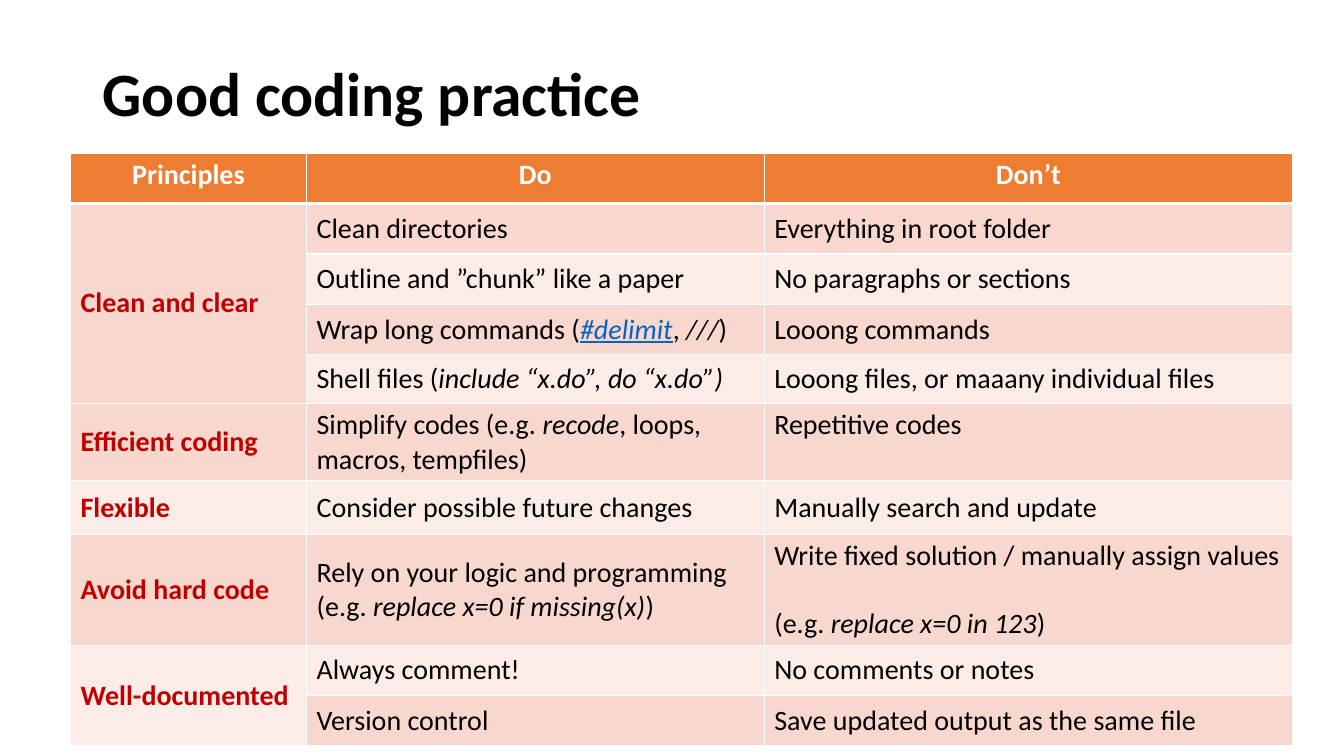
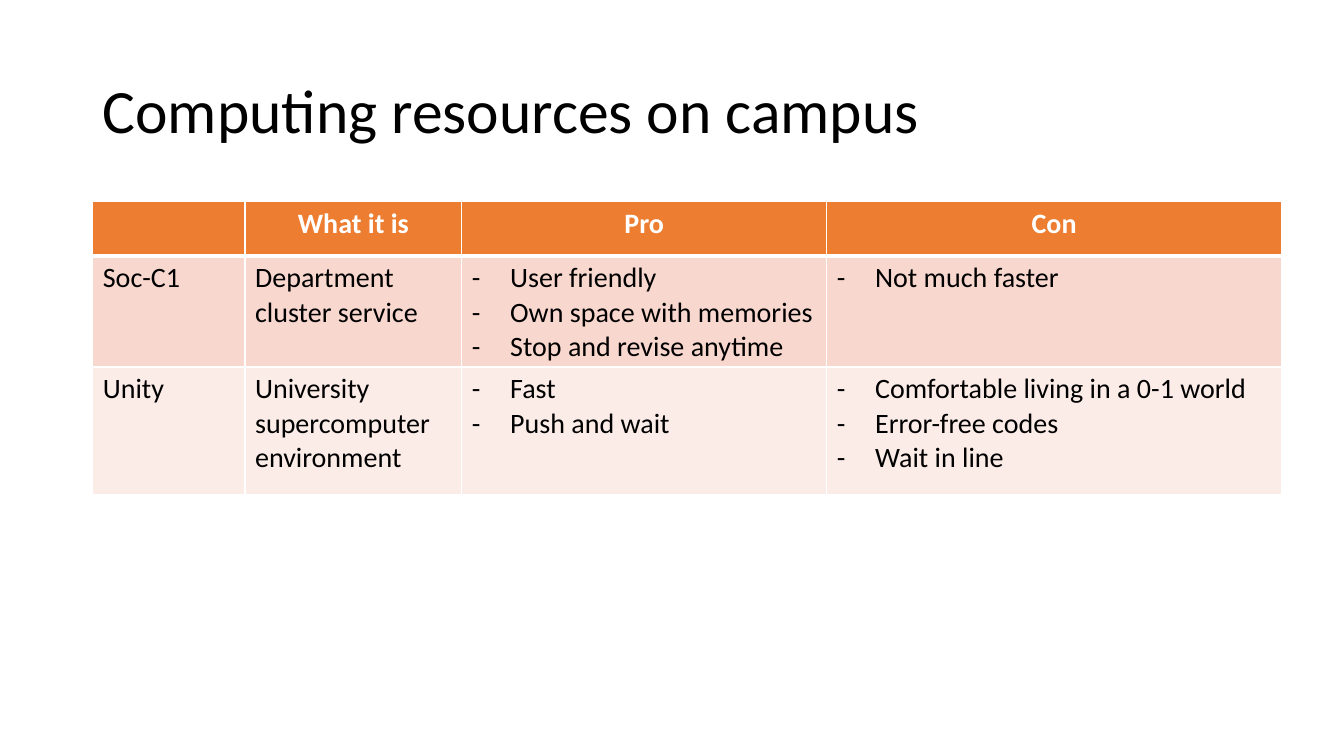
"""Build two table slides on coding practice and computing resources."""
from lxml.etree import SubElement
from pptx import Presentation
from pptx.dml.color import RGBColor
from pptx.enum.text import MSO_ANCHOR as Anchor, PP_ALIGN as Align
from pptx.oxml.ns import qn
from pptx.util import Inches, Pt

FONT = "Calibri"
ORANGE, DARK_BAND, LIGHT_BAND = "ED7D31", "F8D7CE", "FCECE8"
WHITE, BLACK, RED, BLUE = "FFFFFF", "000000", "C00000", "0563C1"
LINK = "#delimit"
TOP_CELLS = {"Repetitive codes"}

# Text between asterisks is italic; a list is bulleted, a tuple is spaced paragraphs.
SLIDES = [
    {
        "title": "Good coding practice", "title_height": 1.12, "title_bold": True,
        "corner": (0.7, 1.52), "anchor": Anchor.MIDDLE, "key_column": True,
        "columns": [2.34, 4.54, 5.24],
        "heights": [0.5, 0.5, 0.5, 0.5, 0.48, 0.77, 0.53, 0.89, 0.5, 0.5],
        "rows": [
            ("Principles", "Do", "Don’t"),
            ("Clean and clear", "Clean directories", "Everything in root folder"),
            (None, "Outline and ”chunk” like a paper", "No paragraphs or sections"),
            (None, "Wrap long commands (*#delimit*, *///*)", "Looong commands"),
            (None, "Shell files (*include “x.do”, do “x.do”)*",
             "Looong files, or maaany individual files"),
            ("Efficient coding", "Simplify codes (e.g. *recode*, loops, macros, tempfiles)",
             "Repetitive codes"),
            ("Flexible", "Consider possible future changes", "Manually search and update"),
            ("Avoid hard code",
             "Rely on your logic and programming (e.g. *replace x=0 if missing(x)*)",
             ("Write fixed solution / manually assign values",
              "(e.g. *replace x=0 in 123*)")),
            ("Well-documented", "Always comment!", "No comments or notes"),
            (None, "Version control", "Save updated output as the same file"),
        ],
    },
    {
        "title": "Computing resources on campus", "title_height": 1.45, "title_bold": False,
        "corner": (0.92, 2), "anchor": Anchor.TOP, "key_column": False,
        "columns": [1.51, 2.15, 3.62, 4.51],
        "heights": [0.54, 1.04, 1.27],
        "rows": [
            ("", "What it is", "Pro", "Con"),
            ("Soc-C1", "Department cluster service",
             ["User friendly", "Own space with memories", "Stop and revise anytime"],
             ["Not much faster"]),
            ("Unity", "University supercomputer environment",
             ["Fast", "Push and wait"],
             ["Comfortable living in a 0-1 world", "Error-free codes", "Wait in line"]),
        ],
    },
]


def color(value):
    return RGBColor.from_string(value)


def add_span(para, text, ink, **formats):
    span = para.add_run()
    span.text = text
    for name, value in {"name": FONT, "size": Pt(20), **formats}.items():
        setattr(span.font, name, value)
    span.font.color.rgb = color(ink)


def add_title(page, content):
    box = page.shapes.add_textbox(
        Inches(0.92), Inches(0.4), Inches(11.5), Inches(content["title_height"]))
    frame = box.text_frame
    for name, value in {"word_wrap": True, "vertical_anchor": Anchor.MIDDLE}.items():
        setattr(frame, name, value)
    para = frame.paragraphs[0]
    para.line_spacing = 0.9
    add_span(para, content["title"], BLACK, size=Pt(44), bold=content["title_bold"])


def add_bullet(para):
    props = para._p.get_or_add_pPr()
    indent = Inches(0.38)
    props.set("marL", str(indent))
    props.set("indent", str(-indent))
    SubElement(props, qn("a:buFont"), typeface=FONT)
    SubElement(props, qn("a:buChar"), char="-")


def style_cell(cell, fill, row):
    props = cell._tc.get_or_add_tcPr()
    for side in "LRTB":
        thick = (row, side) in {(0, "B"), (1, "T")}
        line = SubElement(props, qn(f"a:ln{side}"), w=str(Pt(3 if thick else 1)))
        SubElement(SubElement(line, qn("a:solidFill")), qn("a:srgbClr"), val=WHITE)
    cell.fill.solid()
    cell.fill.fore_color.rgb = color(fill)


def write_cell(cell, content, ink, bold, centred):
    parts = [content] if isinstance(content, str) else content
    frame = cell.text_frame
    for index, text in enumerate(parts):
        para = frame.add_paragraph() if index else frame.paragraphs[0]
        if centred:
            para.alignment = Align.CENTER
        if isinstance(content, list):
            add_bullet(para)
        elif index:
            para.space_before = Pt(24)
        for order, piece in enumerate(text.split("*")):
            if piece:
                link = piece == LINK
                add_span(para, piece, BLUE if link else ink, bold=bold,
                         italic=order % 2 == 1, underline=link)


def add_grid(page, content):
    rows, columns, heights = (content[key] for key in ("rows", "columns", "heights"))
    lengths = (*content["corner"], sum(columns), sum(heights))
    table = page.shapes.add_table(len(rows), len(columns), *map(Inches, lengths)).table
    for column, width in zip(table.columns, columns):
        column.width = Inches(width)
    for line, height in zip(table.rows, heights):
        line.height = Inches(height)
    for row, texts in enumerate(rows):
        header = row == 0
        fill = ORANGE if header else DARK_BAND if row % 2 else LIGHT_BAND
        for column, text in enumerate(texts):
            cell = table.cell(row, column)
            style_cell(cell, fill, row)
            if text is None:
                continue
            key = content["key_column"] and column == 0
            ink = WHITE if header else RED if key else BLACK
            top = header or text in TOP_CELLS if isinstance(text, str) else False
            cell.vertical_anchor = Anchor.TOP if top else content["anchor"]
            write_cell(cell, text, ink, header or key, header)
    starts = [row for row, texts in enumerate(rows) if texts[0] is not None]
    for start, end in zip(starts, starts[1:] + [len(rows)]):
        if end - start > 1:
            table.cell(start, 0).merge(table.cell(end - 1, 0))


def main():
    deck = Presentation()
    deck.slide_width, deck.slide_height = Inches(13.33), Inches(7.5)
    for content in SLIDES:
        page = deck.slides.add_slide(deck.slide_layouts[6])
        add_title(page, content)
        add_grid(page, content)
    deck.save("out.pptx")


if __name__ == "__main__":
    main()
